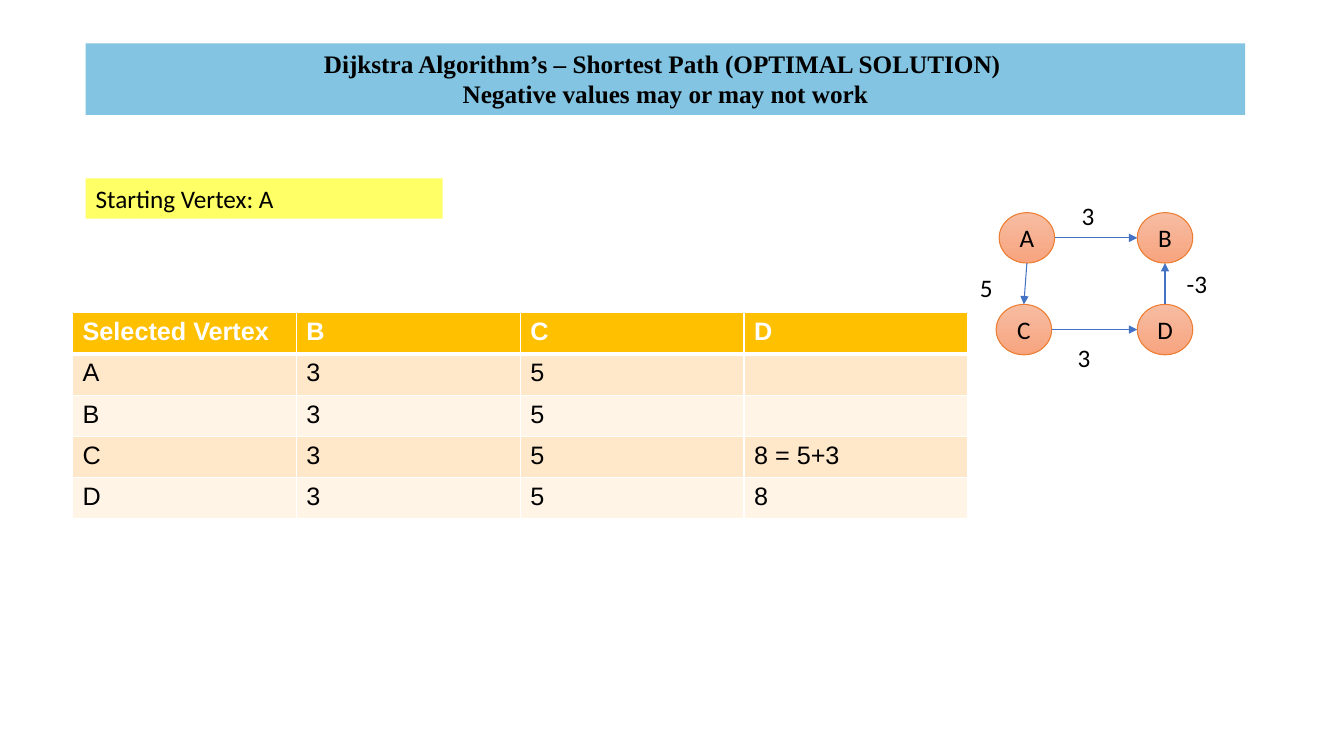
from lxml.etree import SubElement
from pptx import Presentation
from pptx.dml.color import RGBColor
from pptx.enum.shapes import MSO_CONNECTOR, MSO_SHAPE
from pptx.enum.text import MSO_ANCHOR, MSO_AUTO_SIZE, PP_ALIGN
from pptx.oxml import parse_xml
from pptx.oxml.ns import nsdecls, qn
from pptx.util import Inches, Pt

TITLE = ["Dijkstra Algorithm’s – Shortest Path (OPTIMAL SOLUTION) ",
         "Negative values may or may not work"]
START = "Starting Vertex: A"
DISTANCES = [
    ["Selected Vertex", "B", "C", "D"],
    ["A", "3", "5", ""],
    ["B", "3", "5", ""],
    ["C", "3", "5", "8 = 5+3"],
    ["D", "3", "5", "8"],
]
VERTICES = {"A": (9.91, 2.11), "B": (11.28, 2.11),
            "C": (9.88, 3.02), "D": (11.28, 3.02)}
# from, to, weight, left and top of the weight label
EDGES = [("A", "B", "3", 10.63, 1.94), ("A", "C", "5", 9.62, 2.65),
         ("C", "D", "3", 10.59, 3.35), ("D", "B", "-3", 11.67, 2.61)]
VERTEX_WIDTH, VERTEX_HEIGHT = 0.55, 0.5
COLUMN_WIDTH, ROW_HEIGHT = 2.22, 0.41

BLACK = RGBColor(0x00, 0x00, 0x00)
WHITE = RGBColor(0xFF, 0xFF, 0xFF)
SKY = RGBColor(0x82, 0xC4, 0xE2)
YELLOW = RGBColor(0xFF, 0xFF, 0x66)
GOLD = RGBColor(0xFF, 0xC0, 0x00)
BANDS = [RGBColor(0xFF, 0xF4, 0xE6), RGBColor(0xFF, 0xE8, 0xCA)]
PEACH_TOP = RGBColor(0xF7, 0xBC, 0xA2)
PEACH_BOTTOM = RGBColor(0xF7, 0xA4, 0x7F)
ORANGE = RGBColor(0xED, 0x7D, 0x31)
BLUE = RGBColor(0x44, 0x72, 0xC4)


def inches(*lengths):
    return [Inches(length) for length in lengths]


def write(frame, lines, font="Calibri", color=BLACK, bold=False,
          align=PP_ALIGN.LEFT, anchor=MSO_ANCHOR.TOP):
    frame.word_wrap = True
    frame.auto_size = MSO_AUTO_SIZE.NONE
    frame.vertical_anchor = anchor
    for index, line in enumerate(lines):
        para = frame.add_paragraph() if index else frame.paragraphs[0]
        para.alignment = align
        span = para.add_run()
        span.text = line
        span.font.name, span.font.size = font, Pt(18)
        span.font.bold, span.font.color.rgb = bold, color


def add_vertex(shapes, name, left, top):
    oval = shapes.add_shape(MSO_SHAPE.OVAL,
                            *inches(left, top, VERTEX_WIDTH, VERTEX_HEIGHT))
    oval.shadow.inherit = False
    oval.fill.gradient()
    oval.fill.gradient_angle = 270
    for stop, color in zip(oval.fill.gradient_stops, (PEACH_TOP, PEACH_BOTTOM)):
        stop.color.rgb = color
    oval.line.color.rgb, oval.line.width = ORANGE, Pt(0.75)
    write(oval.text_frame, [name], align=PP_ALIGN.CENTER, anchor=MSO_ANCHOR.MIDDLE)


def rim_point(name, other):
    """Point on the side of one vertex that faces the other."""
    left, top = VERTICES[name]
    across, down = VERTICES[other][0] - left, VERTICES[other][1] - top
    x, y = left + VERTEX_WIDTH / 2, top + VERTEX_HEIGHT / 2
    if abs(across) > abs(down):
        return x + VERTEX_WIDTH / 2 * (1 if across > 0 else -1), y
    return x, y + VERTEX_HEIGHT / 2 * (1 if down > 0 else -1)


def add_edge(shapes, start, end):
    arrow = shapes.add_connector(
        MSO_CONNECTOR.STRAIGHT,
        *inches(*rim_point(start, end), *rim_point(end, start)))
    arrow.line.color.rgb, arrow.line.width = BLUE, Pt(0.75)
    SubElement(arrow.line._get_or_add_ln(), qn("a:tailEnd"), type="triangle")
    SubElement(arrow._element.spPr, qn("a:effectLst"))


def set_borders(cell, top, bottom):
    properties = cell._tc.get_or_add_tcPr()
    widths = {"lnL": 1, "lnR": 1, "lnT": top, "lnB": bottom}
    for index, (side, width) in enumerate(widths.items()):
        properties.insert(index, parse_xml(
            f'<a:{side} {nsdecls("a")} w="{Pt(width)}"><a:solidFill>'
            f'<a:srgbClr val="{WHITE}"/></a:solidFill></a:{side}>'))


def add_distances(shapes):
    rows, columns = len(DISTANCES), len(DISTANCES[0])
    table = shapes.add_table(rows, columns, *inches(
        0.72, 3.1, columns * COLUMN_WIDTH, rows * ROW_HEIGHT)).table
    for column in table.columns:
        column.width = Inches(COLUMN_WIDTH)
    for r, values in enumerate(DISTANCES):
        table.rows[r].height = Inches(ROW_HEIGHT)
        for c, value in enumerate(values):
            cell = table.cell(r, c)
            cell.fill.solid()
            cell.fill.fore_color.rgb = BANDS[r % 2] if r else GOLD
            set_borders(cell, 3 if r == 1 else 1, 1 if r else 3)
            if value:
                write(cell.text_frame, [value], "Arial",
                      BLACK if r else WHITE, bold=r == 0)


def main():
    deck = Presentation()
    deck.slide_width, deck.slide_height = inches(13.33, 7.5)
    page = deck.slides.add_slide(deck.slide_layouts[5])

    graph = page.shapes.add_group_shape().shapes
    for name, corner in VERTICES.items():
        add_vertex(graph, name, *corner)
    for start, end, weight, left, top in EDGES:
        add_edge(graph, start, end)
        label = graph.add_textbox(*inches(left, top, 0.55, 0.4))
        write(label.text_frame, [weight])

    add_distances(page.shapes)

    banner = page.shapes.add_shape(MSO_SHAPE.RECTANGLE, *inches(0.85, 1.77, 3.54, 0.4))
    banner.shadow.inherit = False
    banner.line.fill.background()
    title = page.shapes.title
    title.left, title.top, title.width, title.height = inches(0.85, 0.43, 11.5, 0.71)
    for box, color in ((banner, YELLOW), (title, SKY)):
        box.fill.solid()
        box.fill.fore_color.rgb = color
    write(banner.text_frame, [START])
    write(title.text_frame, TITLE, "Times New Roman", bold=True, align=PP_ALIGN.CENTER)

    deck.save("out.pptx")


if __name__ == "__main__":
    main()
